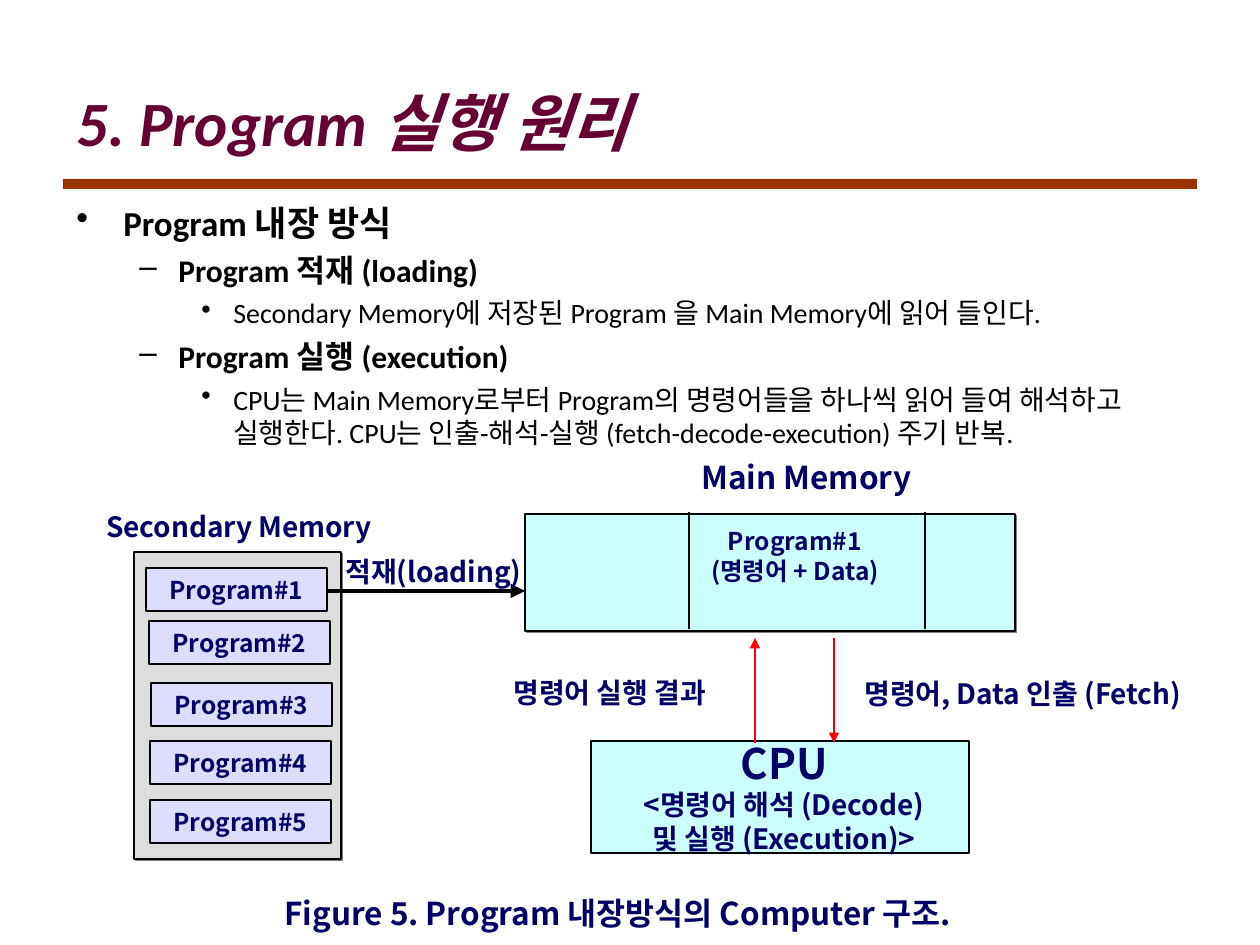
from lxml.etree import SubElement
from pptx import Presentation
from pptx.dml.color import RGBColor
from pptx.enum.shapes import MSO_CONNECTOR, MSO_SHAPE
from pptx.enum.text import MSO_ANCHOR, PP_ALIGN
from pptx.oxml.ns import qn
from pptx.util import Emu, Pt

PX = 914400 / 126
WIDTH, HEIGHT = 1260, 945

BLACK = RGBColor(0x00, 0x00, 0x00)
MAROON = RGBColor(0x66, 0x00, 0x33)
RUST = RGBColor(0x99, 0x33, 0x00)
NAVY = RGBColor(0x00, 0x00, 0x66)
CYAN = RGBColor(0xCC, 0xFF, 0xFF)
GRAY = RGBColor(0xDD, 0xDD, 0xDD)
LAVENDER = RGBColor(0xDD, 0xDD, 0xFF)
RED = RGBColor(0xFF, 0x00, 0x00)

BODY_FONT = "Calibri"
LABEL_FONT = "Noto Sans CJK KR"

LEVELS = (
    {"bullet": "•", "left": 47, "hang": 47, "size": 20, "before": 5, "bold": True},
    {"bullet": "–", "left": 102, "hang": 39, "size": 18, "before": 4.5, "bold": True},
    {"bullet": "•", "left": 157, "hang": 32, "size": 16, "before": 4, "bold": False},
)
OUTLINE = (
    (0, "Program 내장 방식"),
    (1, "Program 적재 (loading)"),
    (2, "Secondary Memory에 저장된 Program 을 Main Memory에 읽어 들인다."),
    (1, "Program 실행 (execution)"),
    (2, "CPU는 Main Memory로부터 Program의 명령어들을 하나씩 읽어 들여 해석하고 "
        "실행한다. CPU는 인출-해석-실행 (fetch-decode-execution) 주기 반복."),
)
PROGRAM_OFFSETS = ((12, 16), (15, 69), (17, 131), (16, 189), (16, 248))


def px(value):
    """Turn pixels into EMU."""
    return Emu(round(value * PX))


def style(paragraph, size, color=NAVY, name=LABEL_FONT, bold=True, italic=False):
    """Set the font of a whole paragraph."""
    font = paragraph.font
    font.size, font.name, font.bold, font.italic = Pt(size), name, bold, italic
    font.color.rgb = color


def add_text(slide, box, lines, align=PP_ALIGN.LEFT, anchor=MSO_ANCHOR.TOP, **look):
    """Add a text box holding (text, size) lines."""
    frame = slide.shapes.add_textbox(*map(px, box)).text_frame
    frame.word_wrap = True
    frame.vertical_anchor = anchor
    for index, (text, size) in enumerate(lines):
        paragraph = frame.paragraphs[0] if index == 0 else frame.add_paragraph()
        paragraph.text = text
        paragraph.alignment = align
        style(paragraph, size, **look)


def add_box(slide, box, fill, outlined=True, shadow=False):
    """Add a filled rectangle, with an optional hard shadow."""
    shape = slide.shapes.add_shape(MSO_SHAPE.RECTANGLE, *map(px, box))
    shape.shadow.inherit = False
    shape.fill.solid()
    shape.fill.fore_color.rgb = fill
    if outlined:
        shape.line.color.rgb = BLACK
        shape.line.width = Pt(0.75)
    else:
        shape.line.fill.background()
    if shadow:
        effects = shape._element.spPr.find(qn("a:effectLst"))
        outer = SubElement(effects, qn("a:outerShdw"), dist=str(Pt(1.4)),
                           dir="2700000", algn="ctr", rotWithShape="0")
        SubElement(outer, qn("a:srgbClr"), val="808080")
    return shape


def add_line(slide, start, end, color=BLACK, width=0.75, arrow=False):
    """Add a straight line, with an optional arrowhead at its end."""
    connector = slide.shapes.add_connector(
        MSO_CONNECTOR.STRAIGHT, *map(px, (*start, *end)))
    connector.line.color.rgb = color
    connector.line.width = Pt(width)
    if arrow:
        SubElement(connector.line._get_or_add_ln(), qn("a:tailEnd"), type="triangle")
    SubElement(connector._element.spPr, qn("a:effectLst"))


def add_title(slide, left, top, width, height):
    """Place the title and the bar beneath it."""
    add_box(slide, (left, top + height, width, 10), RUST, outlined=False)
    add_text(slide, (left + 1, top, width - 63, height), [("5. Program 실행 원리", 36)],
             anchor=MSO_ANCHOR.MIDDLE, color=MAROON, name=BODY_FONT, italic=True)


def add_outline(slide, left, top, width, height):
    """Place the bulleted outline."""
    frame = slide.shapes.add_textbox(*map(px, (left, top, width, height))).text_frame
    frame.word_wrap = True
    for index, (depth, text) in enumerate(OUTLINE):
        level = LEVELS[depth]
        paragraph = frame.paragraphs[0] if index == 0 else frame.add_paragraph()
        paragraph.text = text
        paragraph.level = depth
        paragraph.space_before = Pt(level["before"])
        style(paragraph, level["size"], BLACK, BODY_FONT, level["bold"])
        properties = paragraph._p.get_or_add_pPr()
        properties.set("marL", str(px(level["left"])))
        properties.set("indent", str(-px(level["hang"])))
        bullet = SubElement(properties, qn("a:buChar"), char=level["bullet"])
        properties.remove(bullet)
        properties.find(qn("a:defRPr")).addprevious(bullet)


def add_secondary_memory(slide, left, top, width, height):
    """Place the secondary memory with its stored programs."""
    add_text(slide, (left - 40, top - 49, 377, 69), [("Secondary Memory", 16)])
    add_box(slide, (left, top, width, height), GRAY, shadow=True)
    for number, (across, down) in enumerate(PROGRAM_OFFSETS, start=1):
        program = add_box(slide, (left + across, top + down, 181, 43), LAVENDER)
        frame = program.text_frame
        frame.vertical_anchor = MSO_ANCHOR.MIDDLE
        paragraph = frame.paragraphs[0]
        paragraph.text = f"Program#{number}"
        paragraph.alignment = PP_ALIGN.CENTER
        style(paragraph, 14)


def add_main_memory(slide, left, top, width, height):
    """Place the main memory with its dividers and loaded program."""
    add_box(slide, (left, top, width, height), CYAN, shadow=True)
    for divider in (left + 164, left + 400):
        add_line(slide, (divider, top - 2), (divider, top + height - 2))
    add_text(slide, (left + 164, top - 62, 302, 50), [("Main Memory", 18)])
    add_text(slide, (left + 164, top + 6, 212, 74),
             [("Program#1", 14), ("(명령어 + Data)", 14)], align=PP_ALIGN.CENTER)


def add_cpu(slide, left, top, width, height):
    """Place the CPU with its decode and execute step."""
    add_box(slide, (left, top, width, height), CYAN)
    add_text(slide, (left + 29, top - 10, 328, height + 10),
             [("CPU", 24), ("<명령어 해석 (Decode) 및 실행 (Execution)>", 16)],
             align=PP_ALIGN.CENTER)


def add_flows(slide, left, top, width, height):
    """Place the labelled arrows between memories and CPU."""
    bottom = top + height
    add_line(slide, (left, top - 47), (left + 197, top - 47), width=2.75, arrow=True)
    add_line(slide, (left + 427, bottom), (left + 427, top), RED, 1.5, arrow=True)
    add_line(slide, (left + 506, top), (left + 506, bottom), RED, 1.5, arrow=True)
    add_text(slide, (left + 5, top - 90, 218, 53), [("적재(loading)", 16)])
    add_text(slide, (left + 173, top + 31, 301, 53), [("명령어 실행 결과", 16)])
    add_text(slide, (left + 524, top + 32, width - 524, 42),
             [("명령어, Data 인출 (Fetch)", 16)])


def main():
    """Build and save the slide."""
    presentation = Presentation()
    presentation.slide_width, presentation.slide_height = px(WIDTH), px(HEIGHT)
    slide = presentation.slides.add_slide(presentation.slide_layouts[6])
    add_title(slide, 63, 63, 1134, 116)
    add_outline(slide, 64, 195, 1134, 268)
    add_secondary_memory(slide, 134, 552, 207, 307)
    add_main_memory(slide, 525, 514, 490, 117)
    add_cpu(slide, 591, 741, 378, 112)
    add_flows(slide, 328, 638, 897, 105)
    add_text(slide, (272, 888, 735, 50), [("Figure 5. Program 내장방식의 Computer 구조.", 18)],
             anchor=MSO_ANCHOR.MIDDLE)
    presentation.save("out.pptx")


if __name__ == "__main__":
    main()
